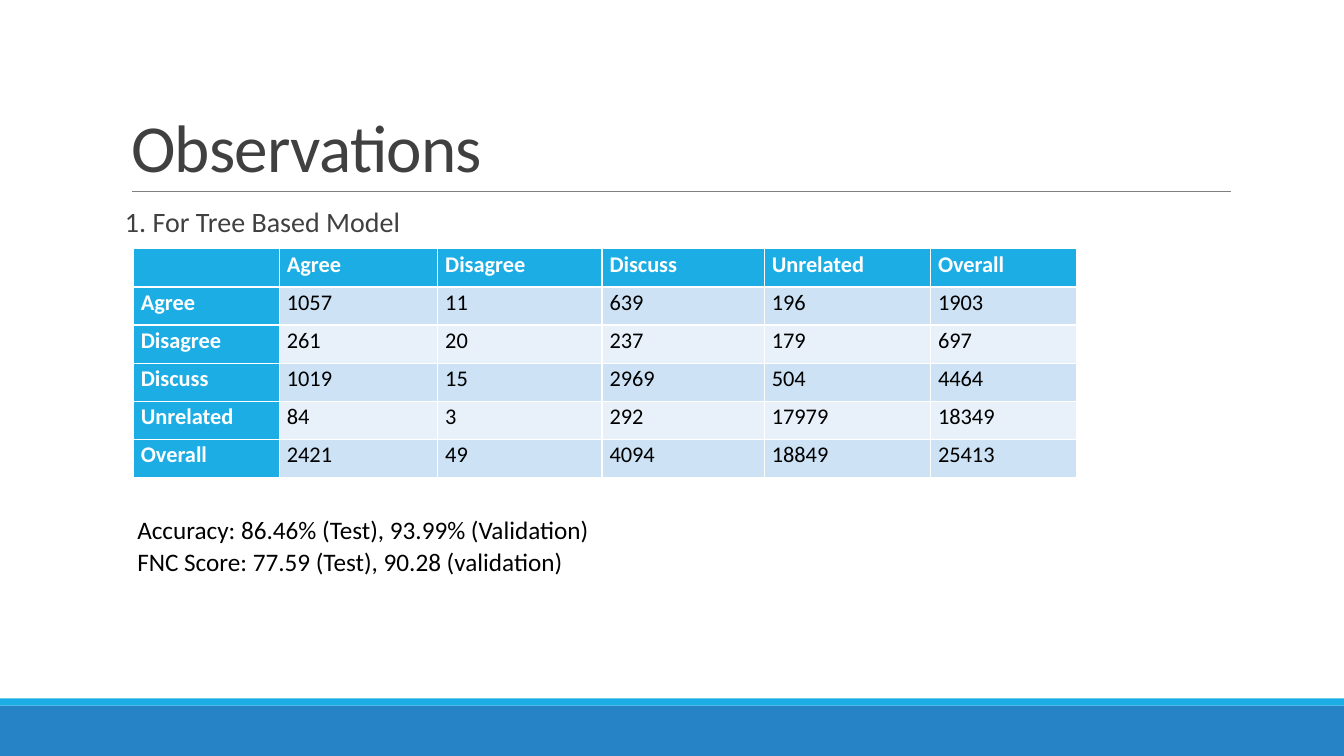
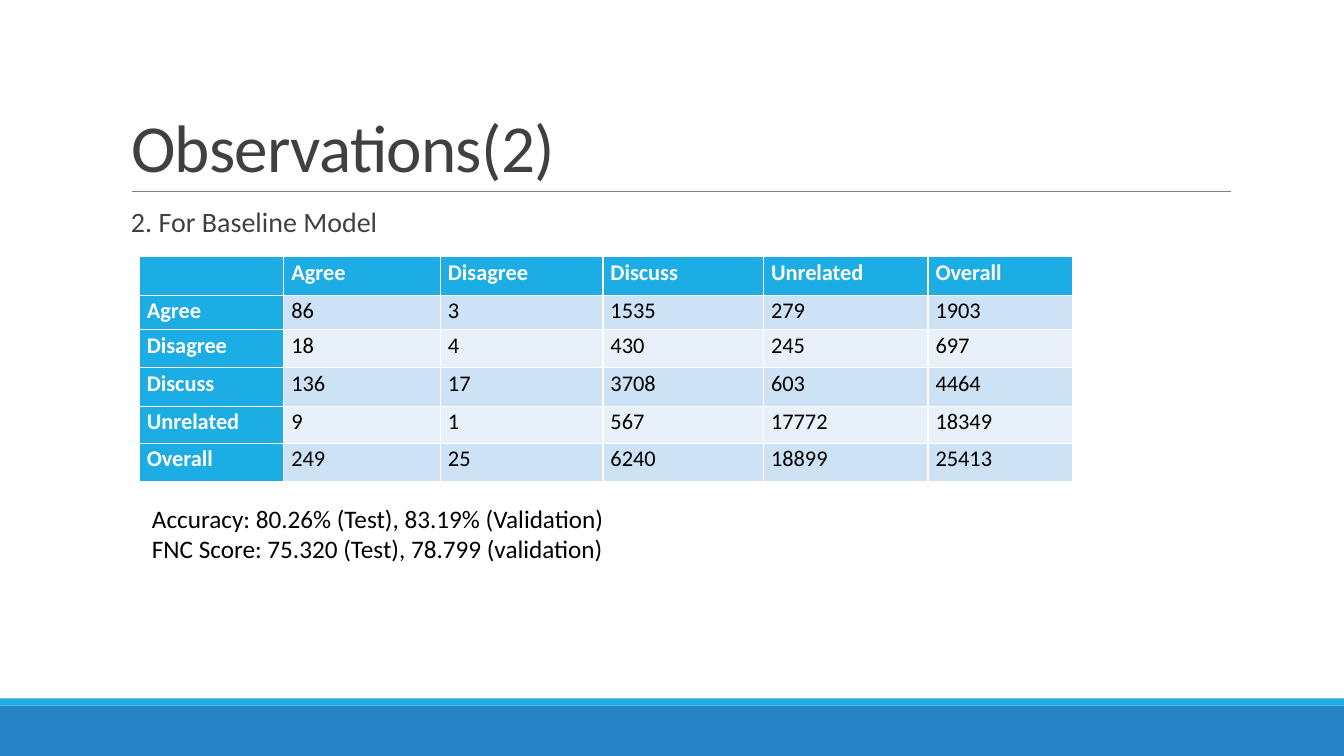
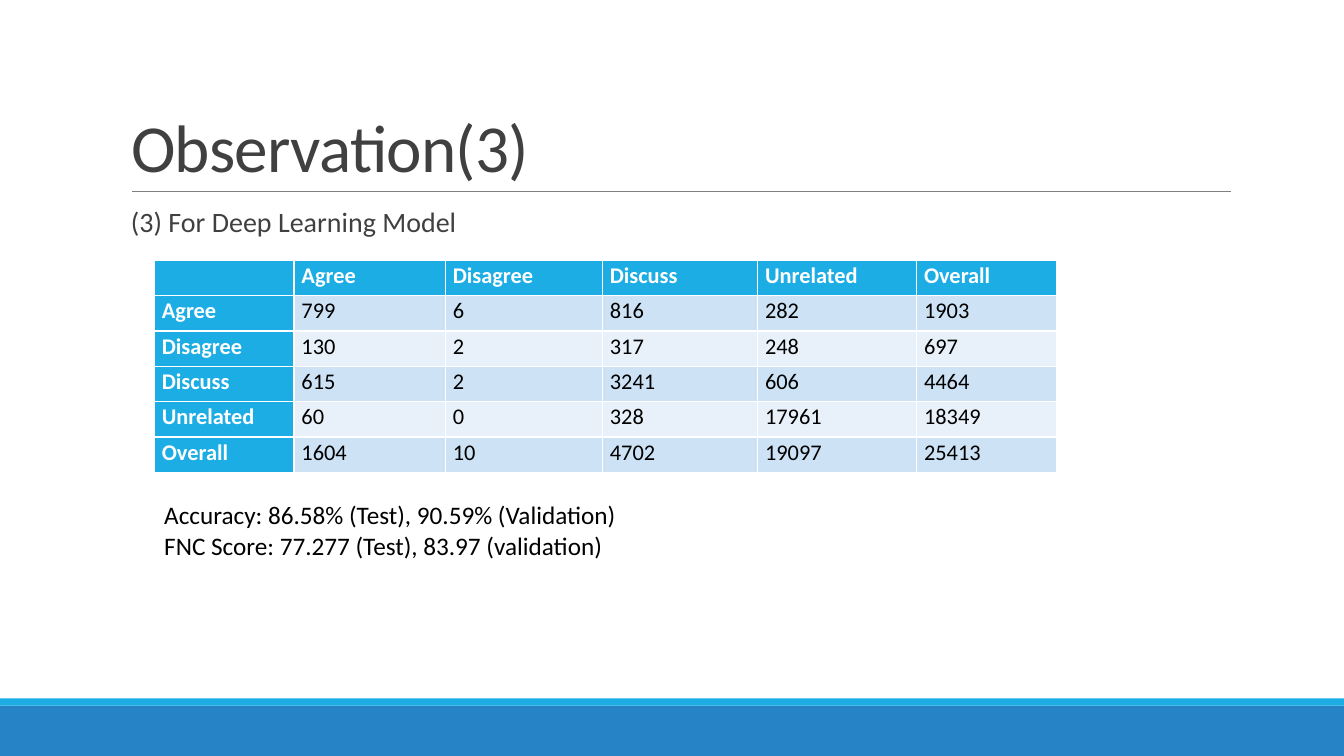
"""Build three slides that report the confusion matrix and scores of each model."""

import dataclasses

import lxml.etree
import pptx
import pptx.dml.color
import pptx.enum.shapes
import pptx.enum.text
import pptx.oxml.ns
import pptx.presentation
import pptx.shapes.base
import pptx.slide
import pptx.text.text
import pptx.util

Cm = pptx.util.Cm
Pt = pptx.util.Pt
RGBColor = pptx.dml.color.RGBColor

FONT = "Calibri"
BLUE = RGBColor(0x26, 0x83, 0xC6)
CYAN = RGBColor(0x1C, 0xAD, 0xE4)
BAND_DARK = RGBColor(0xCD, 0xE3, 0xF5)
BAND_LIGHT = RGBColor(0xE8, 0xF1, 0xFA)
GREY = RGBColor(0x80, 0x80, 0x80)
CHARCOAL = RGBColor(0x40, 0x40, 0x40)
WHITE = RGBColor(0xFF, 0xFF, 0xFF)
BLACK = RGBColor(0x00, 0x00, 0x00)

SLIDE_WIDTH = 33.87
SLIDE_HEIGHT = 19.05
CONTENT_WIDTH = 27.94
CLASSES = ("Agree", "Disagree", "Discuss", "Unrelated", "Overall")
COLUMN_WEIGHTS = (3.68, 3.99, 4.14, 4.09, 4.19, 3.68)


@dataclasses.dataclass(frozen=True)
class Box:
    left: float
    top: float
    width: float
    height: float


@dataclasses.dataclass(frozen=True)
class Band:
    box: Box
    color: RGBColor


@dataclasses.dataclass(frozen=True)
class Observation:
    title: str
    model: str
    model_left: float
    counts: tuple[tuple[int, ...], ...]
    matrix_left: float
    matrix_top: float
    matrix_width: float
    row_heights: tuple[float, ...]
    scores: tuple[str, str]
    scores_box: Box
    scores_spacing: float


FOOTER_BANDS = (
    Band(Box(0, 17.78, SLIDE_WIDTH, 1.27), BLUE),
    Band(Box(0, 17.6, SLIDE_WIDTH, 0.18), CYAN),
)

OBSERVATIONS = (
    Observation(
        title="Observations",
        model="1. For Tree Based Model",
        model_left=2.9,
        counts=(
            (1057, 11, 639, 196, 1903),
            (261, 20, 237, 179, 697),
            (1019, 15, 2969, 504, 4464),
            (84, 3, 292, 17979, 18349),
            (2421, 49, 4094, 18849, 25413),
        ),
        matrix_left=3.36,
        matrix_top=6.27,
        matrix_width=23.77,
        row_heights=(0.96,) * 6,
        scores=(
            "Accuracy: 86.46% (Test), 93.99% (Validation)",
            "FNC Score: 77.59 (Test), 90.28 (validation)",
        ),
        scores_box=Box(3.21, 12.78, 16.94, 2.72),
        scores_spacing=1.07,
    ),
    Observation(
        title="Observations(2)",
        model="2. For Baseline Model",
        model_left=3.05,
        counts=(
            (86, 3, 1535, 279, 1903),
            (18, 4, 430, 245, 697),
            (136, 17, 3708, 603, 4464),
            (9, 1, 567, 17772, 18349),
            (249, 25, 6240, 18899, 25413),
        ),
        matrix_left=3.51,
        matrix_top=6.47,
        matrix_width=23.52,
        row_heights=(0.97, 0.87, 0.96, 0.97, 0.93, 0.96),
        scores=(
            "Accuracy: 80.26% (Test), 83.19% (Validation)",
            "FNC Score: 75.320 (Test), 78.799 (validation)",
        ),
        scores_box=Box(3.58, 12.55, 16.43, 1.8),
        scores_spacing=1.0,
    ),
    Observation(
        title="Observation(3)",
        model="(3) For Deep Learning Model",
        model_left=3.05,
        counts=(
            (799, 6, 816, 282, 1903),
            (130, 2, 317, 248, 697),
            (615, 2, 3241, 606, 4464),
            (60, 0, 328, 17961, 18349),
            (1604, 10, 4702, 19097, 25413),
        ),
        matrix_left=3.89,
        matrix_top=6.56,
        matrix_width=22.73,
        row_heights=(0.89,) * 6,
        scores=(
            "Accuracy: 86.58% (Test), 90.59% (Validation)",
            "FNC Score: 77.277 (Test), 83.97 (validation)",
        ),
        scores_box=Box(3.89, 12.47, 17.45, 1.8),
        scores_spacing=1.0,
    ),
)


def emu(box: Box) -> tuple[int, int, int, int]:
    return Cm(box.left), Cm(box.top), Cm(box.width), Cm(box.height)


def place(shape: pptx.shapes.base.BaseShape, box: Box) -> None:
    shape.left, shape.top, shape.width, shape.height = emu(box)


def style(
    paragraph: pptx.text.text._Paragraph,
    size: float,
    color: RGBColor,
    spacing: float,
    bold: bool = False,
) -> None:
    paragraph.alignment = pptx.enum.text.PP_ALIGN.LEFT
    paragraph.line_spacing = spacing
    paragraph.font.name = FONT
    paragraph.font.size = Pt(size)
    paragraph.font.bold = bold
    paragraph.font.color.rgb = color


def draw_frame(slide: pptx.slide.Slide) -> None:
    for band in FOOTER_BANDS:
        strip = slide.shapes.add_shape(
            pptx.enum.shapes.MSO_SHAPE.RECTANGLE, *emu(band.box)
        )
        strip.shadow.inherit = False
        strip.fill.solid()
        strip.fill.fore_color.rgb = band.color
        strip.line.fill.background()
    title_rule = slide.shapes.add_connector(
        pptx.enum.shapes.MSO_CONNECTOR.STRAIGHT,
        Cm(3.33), Cm(4.83), Cm(31.01), Cm(4.83),
    )
    title_rule.line.color.rgb = GREY
    title_rule.line.width = Pt(0.5)
    lxml.etree.SubElement(
        title_rule._element.spPr, pptx.oxml.ns.qn("a:effectLst")
    )


def write_title(slide: pptx.slide.Slide, text: str) -> None:
    title = slide.shapes.title
    place(title, Box(3.05, 0.79, CONTENT_WIDTH, 4.04))
    frame = title.text_frame
    frame.text = text
    frame.auto_size = pptx.enum.text.MSO_AUTO_SIZE.NONE
    frame.vertical_anchor = pptx.enum.text.MSO_ANCHOR.BOTTOM
    paragraph = frame.paragraphs[0]
    style(paragraph, 48, CHARCOAL, 0.85)
    paragraph._p.get_or_add_pPr().get_or_add_defRPr().set("spc", "-50")


def write_model(slide: pptx.slide.Slide, text: str, left: float) -> None:
    model = slide.placeholders[1]
    place(model, Box(left, 5.13, CONTENT_WIDTH, 11.18))
    frame = model.text_frame
    frame.text = text
    frame.auto_size = pptx.enum.text.MSO_AUTO_SIZE.NONE
    frame.margin_left = frame.margin_right = 0
    paragraph = frame.paragraphs[0]
    style(paragraph, 20, CHARCOAL, 0.9)
    paragraph.space_before = Pt(12)
    paragraph.space_after = Pt(2)
    properties = paragraph._p.get_or_add_pPr()
    properties.set("marL", str(Cm(0.25)))
    properties.set("indent", "0")
    properties.insert_element_before(
        properties.makeelement(pptx.oxml.ns.qn("a:buNone")), "a:defRPr"
    )


def draw_matrix(slide: pptx.slide.Slide, observation: Observation) -> None:
    labelled = [("", *CLASSES)] + [
        (name, *counts) for name, counts in zip(CLASSES, observation.counts)
    ]
    box = Box(
        observation.matrix_left,
        observation.matrix_top,
        observation.matrix_width,
        sum(observation.row_heights),
    )
    matrix = slide.shapes.add_table(
        len(labelled), len(COLUMN_WEIGHTS), *emu(box)
    ).table
    matrix.first_col = True
    scale = observation.matrix_width / sum(COLUMN_WEIGHTS)
    for column, weight in zip(matrix.columns, COLUMN_WEIGHTS):
        column.width = Cm(weight * scale)
    for row_index, values in enumerate(labelled):
        matrix.rows[row_index].height = Cm(observation.row_heights[row_index])
        band_color = BAND_DARK if row_index % 2 else BAND_LIGHT
        for column_index, value in enumerate(values):
            is_label = row_index == 0 or column_index == 0
            cell = matrix.cell(row_index, column_index)
            cell.fill.solid()
            cell.fill.fore_color.rgb = CYAN if is_label else band_color
            cell.margin_left = cell.margin_right = Cm(0.19)
            cell.margin_top = cell.margin_bottom = 0
            cell.text = str(value)
            style(
                cell.text_frame.paragraphs[0],
                16,
                WHITE if is_label else BLACK,
                1.07,
                is_label,
            )


def write_scores(slide: pptx.slide.Slide, observation: Observation) -> None:
    frame = slide.shapes.add_textbox(*emu(observation.scores_box)).text_frame
    frame.word_wrap = True
    frame.text = "\n".join(observation.scores)
    for paragraph in frame.paragraphs:
        style(paragraph, 18, BLACK, observation.scores_spacing)


def add_observation(
    deck: pptx.presentation.Presentation, observation: Observation
) -> None:
    slide = deck.slides.add_slide(deck.slide_layouts[1])
    draw_frame(slide)
    write_title(slide, observation.title)
    write_model(slide, observation.model, observation.model_left)
    draw_matrix(slide, observation)
    write_scores(slide, observation)


def main() -> None:
    deck = pptx.Presentation()
    deck.slide_width = Cm(SLIDE_WIDTH)
    deck.slide_height = Cm(SLIDE_HEIGHT)
    for observation in OBSERVATIONS:
        add_observation(deck, observation)
    deck.save("out.pptx")


if __name__ == "__main__":
    main()
